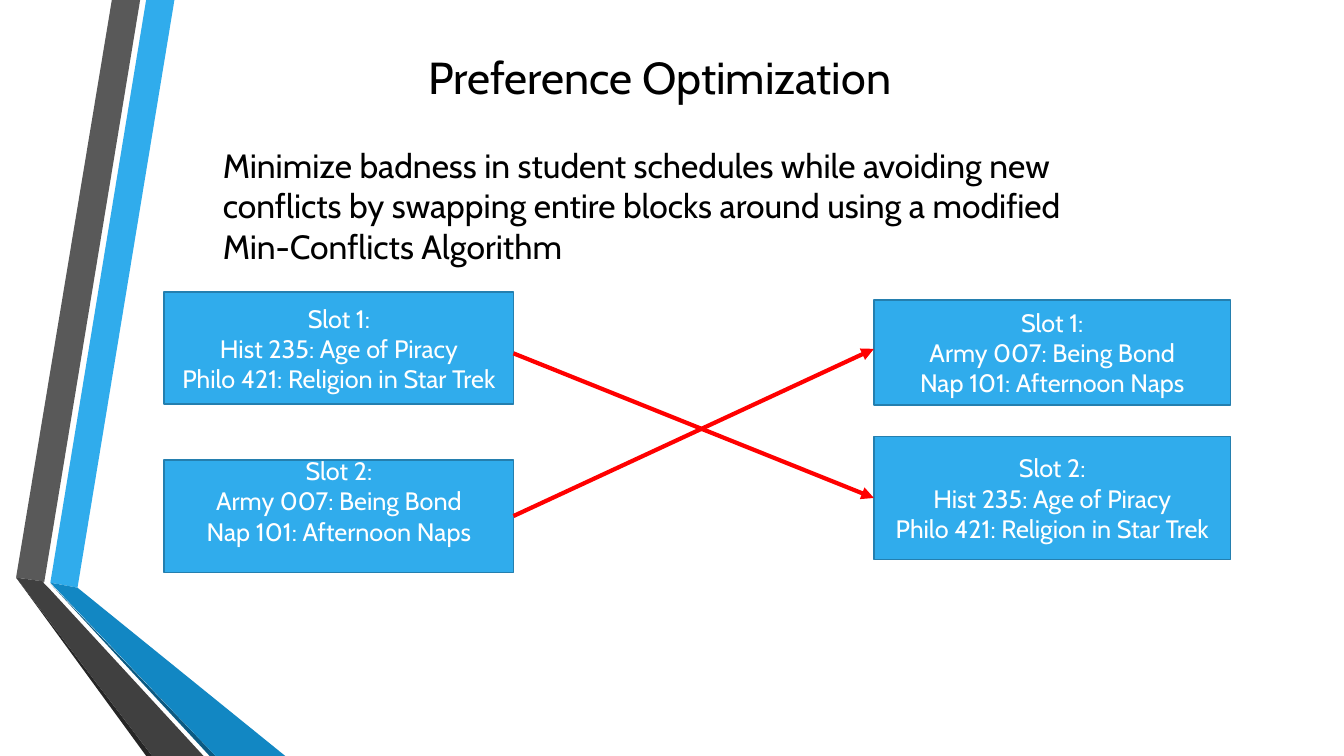
from dataclasses import dataclass

from lxml import etree
from pptx import Presentation
from pptx.dml.color import RGBColor
from pptx.enum import shapes, text
from pptx.oxml import ns
from pptx.util import Pt

FONT = "Cabin"
BLACK, WHITE, RED = "000000", "FFFFFF", "FF0000"
BLUE, BLUE_EDGE = "30ACEC", "247FAF"
PIRACY = ("Hist 235: Age of Piracy", "Philo 421: Religion in Star Trek")
BOND = ("Army 007: Being Bond", "Nap 101: Afternoon Naps")


@dataclass
class Ribbon:
    color: str
    corners: list[tuple[float, float]]


@dataclass
class Slot:
    number: int
    courses: tuple[str, str]
    left: float
    top: float
    width: float
    height: float
    bottom_inset: float = 3.6


RIBBONS = [
    Ribbon(BLUE, [(36, 416.2), (55.4, 419.8), (124.6, 0), (104.4, 0)]),
    Ribbon("595959", [(100.1, 0), (79.9, 0), (11.5, 412.6), (31.7, 415.4)]),
    Ribbon("262626", [(11.5, 412.6), (104.4, 540), (108.7, 540)]),
    Ribbon("0C5A82", [(36, 416.9), (149.8, 540), (154.1, 540)]),
    Ribbon("1287C3", [(36, 416.2), (154.1, 540), (203.8, 540), (55.4, 419.8)]),
    Ribbon("404040", [(145.4, 540), (34.6, 419.8), (31, 416.2), (31.7, 415.4),
                      (11.5, 412.6), (108.7, 540)]),
]
BEFORE = [Slot(1, PIRACY, 117.4, 208.8, 249.4, 79.9),
          Slot(2, BOND, 117.4, 328.3, 249.4, 80.6, bottom_inset=25.2)]
AFTER = [Slot(1, BOND, 624.2, 214.4, 254.9, 74.9),
         Slot(2, PIRACY, 624.2, 311.8, 254.9, 87.8)]


def rgb(color: str) -> RGBColor:
    return RGBColor.from_string(color)


def apply(target, formats: dict) -> None:
    for name, value in formats.items():
        setattr(target, name, value)


def paint(shape, color: str) -> None:
    shape.shadow.inherit = False
    shape.fill.solid()
    shape.fill.fore_color.rgb = rgb(color)


def write(frame, lines: list[str], size: float, color: str, align, anchor) -> None:
    apply(frame, {"word_wrap": True, "auto_size": text.MSO_AUTO_SIZE.NONE,
                  "vertical_anchor": anchor})
    frame.text = "\n".join(lines)
    for paragraph in frame.paragraphs:
        apply(paragraph, {"alignment": align, "space_before": Pt(0)})
        for run in paragraph.runs:
            apply(run.font, {"name": FONT, "size": Pt(size)})
            run.font.color.rgb = rgb(color)


def fill_placeholder(holder, top: float, height: float, words: str,
                     size: float, align) -> None:
    apply(holder, {"left": Pt(152), "top": Pt(top),
                   "width": Pt(638.6), "height": Pt(height)})
    write(holder.text_frame, [words], size, BLACK, align, text.MSO_ANCHOR.TOP)


def draw_ribbon(slide, ribbon: Ribbon) -> None:
    start, *rest = [(Pt(x), Pt(y)) for x, y in ribbon.corners]
    builder = slide.shapes.build_freeform(*start)
    builder.add_line_segments(rest, close=True)
    shape = builder.convert_to_shape()
    paint(shape, ribbon.color)
    shape.line.fill.background()


def draw_slot(slide, slot: Slot):
    box = slide.shapes.add_shape(
        shapes.MSO_SHAPE.RECTANGLE,
        *map(Pt, (slot.left, slot.top, slot.width, slot.height)))
    paint(box, BLUE)
    box.line.color.rgb = rgb(BLUE_EDGE)
    box.line.width = Pt(1.25)
    write(box.text_frame, [f"Slot {slot.number}:", *slot.courses], 18, WHITE,
          text.PP_ALIGN.CENTER, text.MSO_ANCHOR.MIDDLE)
    box.text_frame.margin_bottom = Pt(slot.bottom_inset)
    return box


def draw_swap(slide, start_y: float, end_y: float):
    arrow = slide.shapes.add_connector(
        shapes.MSO_CONNECTOR.STRAIGHT,
        *map(Pt, (366.8, start_y, 624.2, end_y)))
    arrow.line.color.rgb = rgb(RED)
    arrow.line.width = Pt(3)
    properties = arrow.element.spPr
    etree.SubElement(properties.find(ns.qn("a:ln")), ns.qn("a:tailEnd"), type="triangle")
    etree.SubElement(properties, ns.qn("a:effectLst"))
    return arrow


def main() -> None:
    deck = Presentation()
    apply(deck, {"slide_width": Pt(960), "slide_height": Pt(540)})
    slide = deck.slides.add_slide(deck.slide_layouts[1])

    # Title and statement
    fill_placeholder(slide.shapes.title, 31.7, 50, "Preference Optimization",
                     32, text.PP_ALIGN.CENTER)
    statement = slide.placeholders[1]
    fill_placeholder(
        statement, 99.8, 94.6,
        "Minimize badness in student schedules while avoiding new conflicts by "
        "swapping entire blocks around using a modified Min-Conflicts Algorithm",
        24, text.PP_ALIGN.LEFT)
    indents = statement.text_frame.paragraphs[0]._p.get_or_add_pPr()
    indents.set("marL", "0")
    indents.set("indent", "0")
    etree.SubElement(indents, ns.qn("a:buNone"))

    # Folded ribbons at the left edge
    for ribbon in RIBBONS:
        draw_ribbon(slide, ribbon)

    # Schedule before and after the swap
    _, bond_before = [draw_slot(slide, slot) for slot in BEFORE]
    _, piracy_after = [draw_slot(slide, slot) for slot in AFTER]

    # Crossing arrows
    draw_swap(slide, 252.4, 355.7).end_connect(piracy_after, 1)
    draw_swap(slide, 368.6, 249.2).begin_connect(bond_before, 3)

    deck.save("out.pptx")


if __name__ == "__main__":
    main()
